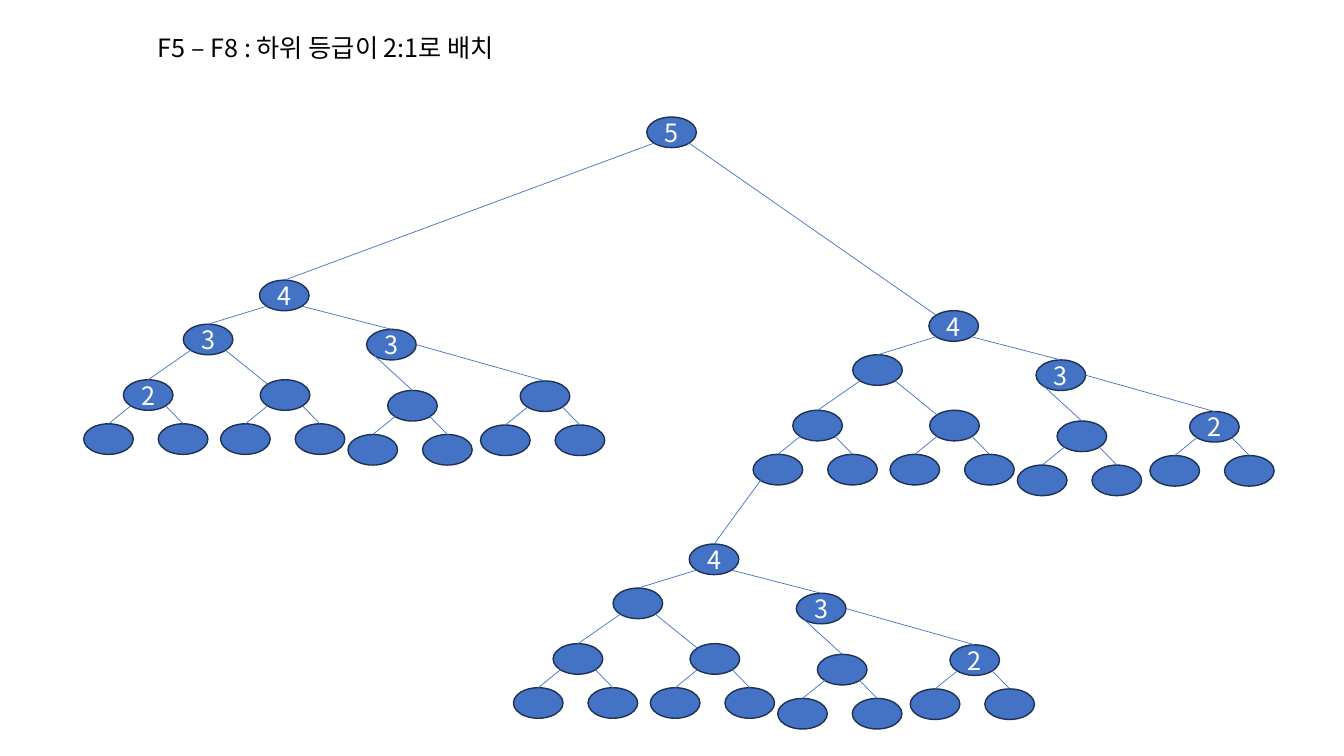
"""Draw a binary tree of ranked nodes built from three equal branches."""
import lxml.etree
import pptx
import pptx.dml.color
import pptx.enum.shapes
import pptx.enum.text
import pptx.oxml.ns
import pptx.util

Cm = pptx.util.Cm
COLORS = {"node": "4472C4", "edge": "1E3256", "text": "000000", "label": "FFFFFF"}
WIDTH, HEIGHT = 1.25, 0.77
SITES = {
    "top": (0.5, 0),
    "top left": (0.15, 0.15),
    "low left": (0.15, 0.85),
    "low right": (0.85, 0.85),
    "right": (1, 0.5),
}
LEAVES = {"a": (-1.0, 1.11, "low left", "top"), "b": (0.88, 1.11, "low right", "top")}
BRANCH = {
    "l": ("", -1.92, 1.11, "low left", "top"),
    "r": ("", 2.7, 1.24, "low right", "top"),
    "ll": ("l", -3.43, 2.51, "low left", "top"),
    "lr": ("l", 0.02, 2.51, "low right", "top left"),
    "rl": ("r", 3.23, 2.78, "low left", "top"),
    "rr": ("r", 6.57, 2.54, "right", "top"),
}


class Board:
    """Hold the style and the current slide."""

    def __init__(self, deck, font="Noto Sans CJK KR", size=18):
        self.slide = deck.slides.add_slide(deck.slide_layouts[6])
        self.font, self.size = font, size

    def color(self, name):
        return pptx.dml.color.RGBColor.from_string(COLORS[name])

    def add_run(self, frame, text, color):
        run = frame.paragraphs[0].add_run()
        run.text = text
        run.font.name = self.font
        run.font.size = pptx.util.Pt(self.size)
        run.font.color.rgb = self.color(color)
        east = lxml.etree.SubElement(run.font._element, pptx.oxml.ns.qn("a:ea"))
        east.set("typeface", self.font)

    def title(self, text, left, top, width, height):
        frame = self.slide.shapes.add_textbox(
            Cm(left), Cm(top), Cm(width), Cm(height)).text_frame
        frame.word_wrap = True
        frame.auto_size = pptx.enum.text.MSO_AUTO_SIZE.SHAPE_TO_FIT_TEXT
        self.add_run(frame, text, "text")

    def node(self, left, top, label=""):
        shape = self.slide.shapes.add_shape(
            pptx.enum.shapes.MSO_SHAPE.OVAL, Cm(left), Cm(top), Cm(WIDTH), Cm(HEIGHT))
        shape.shadow.inherit = False
        shape.fill.solid()
        shape.fill.fore_color.rgb = self.color("node")
        shape.line.color.rgb = self.color("edge")
        shape.line.width = pptx.util.Pt(1)
        if label:
            frame = shape.text_frame
            frame.vertical_anchor = pptx.enum.text.MSO_ANCHOR.MIDDLE
            frame.paragraphs[0].alignment = pptx.enum.text.PP_ALIGN.CENTER
            self.add_run(frame, label, "label")
        return left, top

    def link(self, start, leave, end, enter):
        points = []
        for (left, top), site in ((start, leave), (end, enter)):
            across, down = SITES[site]
            points += [Cm(left + across * WIDTH), Cm(top + down * HEIGHT)]
        line = self.slide.shapes.add_connector(
            pptx.enum.shapes.MSO_CONNECTOR.STRAIGHT, *points)
        line.line.color.rgb = self.color("node")
        line.line.width = pptx.util.Pt(0.5)
        lxml.etree.SubElement(line._element.spPr, pptx.oxml.ns.qn("a:effectLst"))

    def branch(self, left, top, labels):
        nodes = {"": self.node(left, top, labels[""])}
        for key, (parent, right, down, leave, enter) in BRANCH.items():
            nodes[key] = self.node(left + right, top + down, labels.get(key, ""))
            self.link(nodes[parent], leave, nodes[key], enter)
            if len(key) == 2:
                for leaf, (shift, drop, leave, enter) in LEAVES.items():
                    x, y = nodes[key]
                    nodes[key + leaf] = self.node(x + shift, y + drop)
                    self.link(nodes[key], leave, nodes[key + leaf], enter)
        return nodes


def main():
    deck = pptx.Presentation()
    deck.slide_width, deck.slide_height = Cm(33.87), Cm(19.05)
    board = Board(deck)
    board.title("F5 – F8 : 하위 등급이 2:1로 배치", 3.73, 0.69, 28.37, 1.03)
    root = board.node(16.3, 2.95, "5")
    ranks = {"": "4", "r": "3", "rr": "2"}
    west = board.branch(6.54, 7.06, {"": "4", "l": "3", "r": "3", "ll": "2"})
    east = board.branch(23.41, 7.83, ranks)
    south = board.branch(17.37, 13.71, ranks)
    board.link(root, "low left", west[""], "top")
    board.link(root, "low right", east[""], "top left")
    board.link(east["lla"], "low left", south[""], "top")
    deck.save("out.pptx")


if __name__ == "__main__":
    main()
